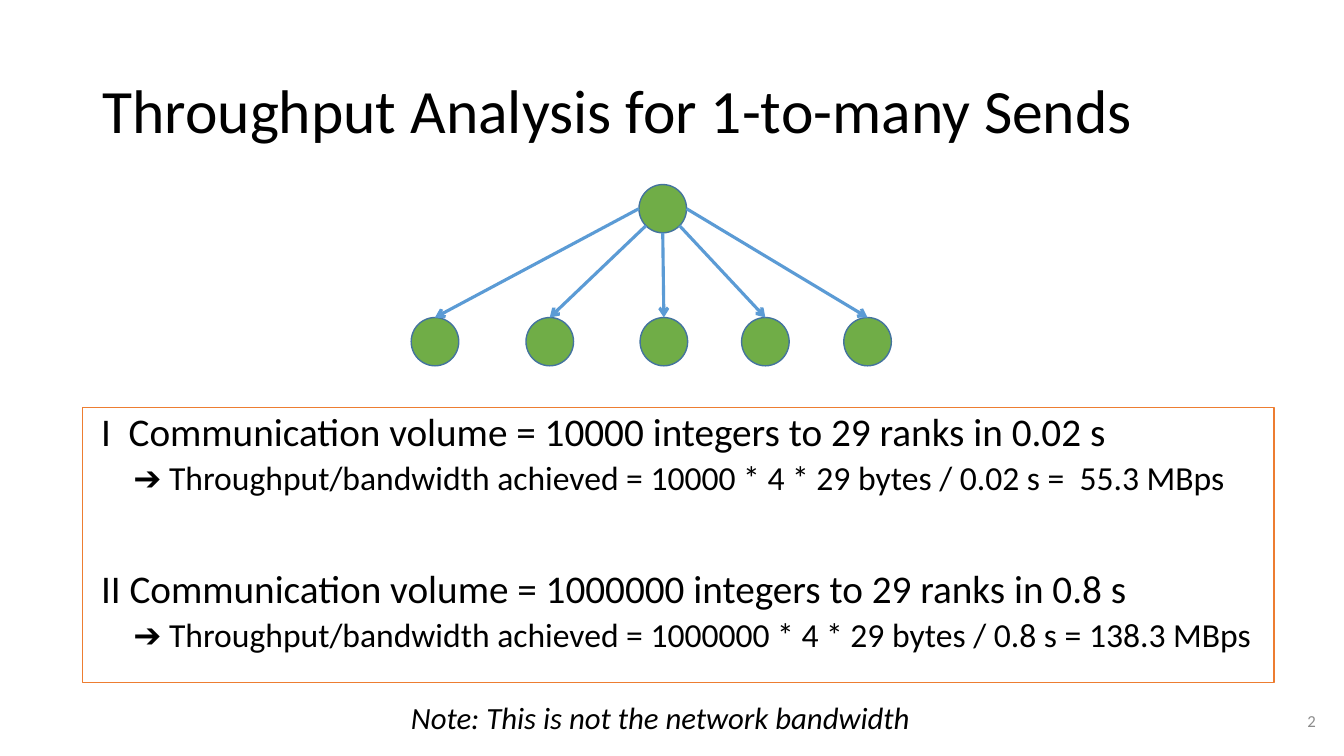
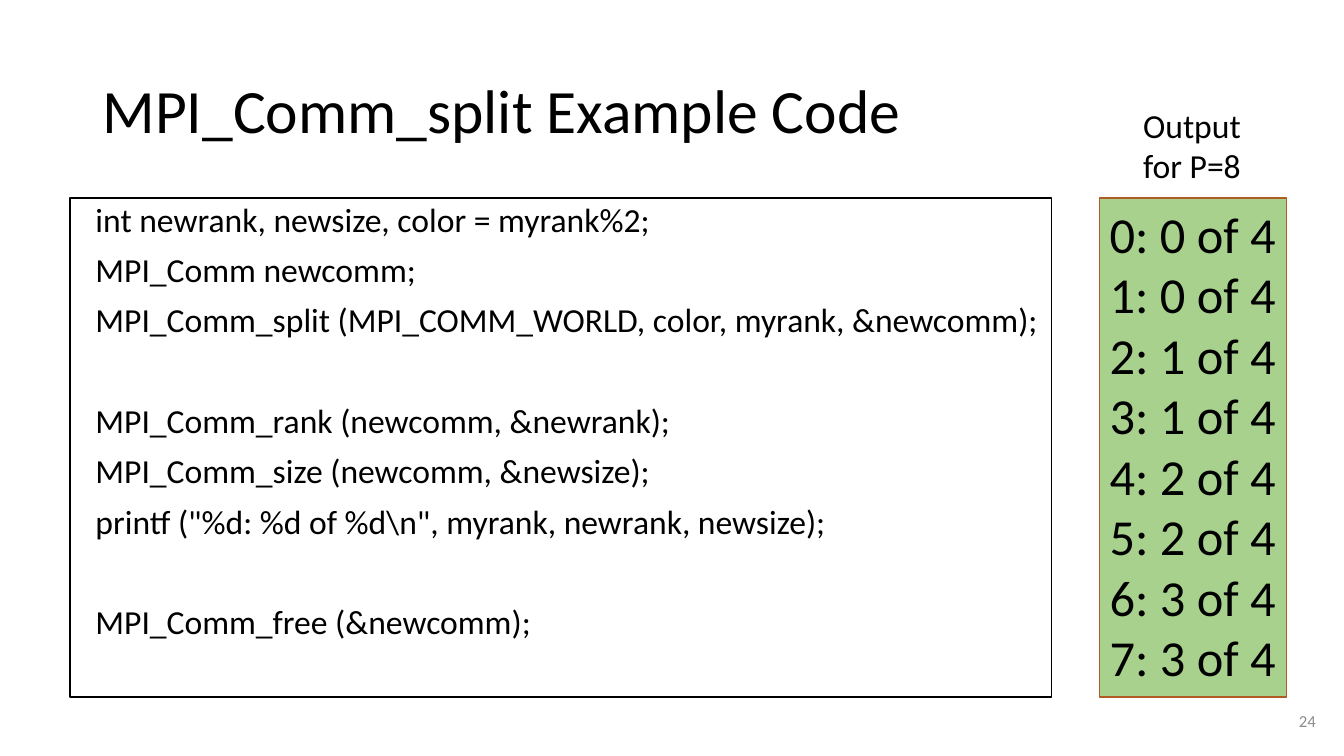
from math import cos, radians, sin

from lxml import etree
from pptx import Presentation
from pptx.dml.color import RGBColor
from pptx.enum.shapes import MSO_CONNECTOR, MSO_SHAPE
from pptx.enum.text import MSO_ANCHOR, MSO_AUTO_SIZE, PP_ALIGN
from pptx.oxml.ns import qn
from pptx.util import Pt

OVAL, RECT = MSO_SHAPE.OVAL, MSO_SHAPE.RECTANGLE
STRAIGHT = MSO_CONNECTOR.STRAIGHT
TOP, MIDDLE = MSO_ANCHOR.TOP, MSO_ANCHOR.MIDDLE
LEFT, RIGHT = PP_ALIGN.LEFT, PP_ALIGN.RIGHT

FONT = "Calibri"
BLACK, WHITE, GREY = "000000", "FFFFFF", "8C8C8C"
GREEN, LIGHT_GREEN, BLUE, NODE_EDGE = "70AD47", "A9D18E", "5B9BD5", "43739E"
ORANGE, RUST = "ED7D31", "AF5C24"

SLIDE_SIZE = (960, 540)
TITLE_BOX = (66, 29, 828, 104)
NUMBER_BOX = (678, 500, 269, 29)


def rgb(color):
    return RGBColor.from_string(color)


def place(sp, box):
    sp.left, sp.top, sp.width, sp.height = (Pt(v) for v in box)


def paint(sp, fill, line):
    sp.fill.solid()
    sp.fill.fore_color.rgb = rgb(fill)
    sp.line.color.rgb = rgb(line)
    sp.line.width = Pt(1)


def setup_frame(sp, anchor=TOP):
    tf = sp.text_frame
    tf.word_wrap = True
    tf.auto_size = MSO_AUTO_SIZE.NONE
    tf.vertical_anchor = anchor
    return tf


def add_lines(tf, lines, size, color=BLACK, align=LEFT, italic=False):
    """Write one paragraph per line and return the paragraphs."""
    for i, line in enumerate(lines):
        p = tf.paragraphs[0] if i == 0 else tf.add_paragraph()
        p.alignment = align
        r = p.add_run()
        r.text = line
        r.font.name, r.font.size = FONT, Pt(size)
        r.font.italic = italic
        r.font.color.rgb = rgb(color)
    return tf.paragraphs


def add_label(s, box, lines, size, anchor=TOP, **style):
    sp = s.shapes.add_textbox(*(Pt(v) for v in box))
    add_lines(setup_frame(sp, anchor), lines, size, **style)


def style_item(p, indent, before):
    """Body line without a bullet."""
    p.line_spacing = 0.9
    p.space_before = Pt(before)
    pPr = p._p.get_or_add_pPr()
    pPr.set("marL", str(Pt(indent)))
    pPr.set("indent", "0")
    etree.SubElement(pPr, qn("a:buNone"))


def add_base_slide(prs, title, number):
    s = prs.slides.add_slide(prs.slide_layouts[1])
    place(s.shapes.title, TITLE_BOX)
    tf = setup_frame(s.shapes.title, MIDDLE)
    add_lines(tf, [title], 44)[0].line_spacing = 0.9
    add_label(s, NUMBER_BOX, [str(number)], 12, MIDDLE, color=GREY, align=RIGHT)
    return s


def add_body(s, box, line_color):
    body = s.placeholders[1]
    place(body, box)
    paint(body, WHITE, line_color)
    return setup_frame(body)


def add_node(s, x, y, w, h):
    sp = s.shapes.add_shape(OVAL, Pt(x), Pt(y), Pt(w), Pt(h))
    sp.shadow.inherit = False
    paint(sp, GREEN, NODE_EDGE)


def add_arrow(s, x1, y1, x2, y2):
    cn = s.shapes.add_connector(STRAIGHT, Pt(x1), Pt(y1), Pt(x2), Pt(y2))
    cn.line.color.rgb = rgb(BLUE)
    cn.line.width = Pt(2.25)
    etree.SubElement(cn.line._ln, qn("a:tailEnd"), type="arrow")
    etree.SubElement(cn._element.spPr, qn("a:effectLst"))


def add_send_tree(s, box):
    """One sender on top, five receivers below."""
    x, y, w, h = box
    node_w, node_h = 34, 34.5
    root_x, leaf_y = x + 162.7, y + h - node_h
    add_node(s, root_x, y, node_w, node_h)
    leaf_offsets = (0, 82, 163.5, 236, w - node_w)
    for offset, angle in zip(leaf_offsets, (180, 135, 90, 45, 0)):
        add_node(s, x + offset, leaf_y, node_w, node_h)
        a = radians(angle)
        add_arrow(s, root_x + node_w / 2 * (1 + cos(a)),
                  y + node_h / 2 * (1 + sin(a)),
                  x + offset + node_w / 2, leaf_y)


def add_throughput_body(s, box, cases):
    tf = add_body(s, box, ORANGE)
    add_lines(tf, [line for case in cases for line in case], 28)
    for i, p in enumerate(tf.paragraphs):
        if i % 2:
            p.level = 1
            p.runs[0].font.size = Pt(24)
            style_item(p, 29, 5)
        else:
            style_item(p, 6, 51 if i else 10)


def add_code_body(s, box, blocks):
    tf = add_body(s, box, BLACK)
    add_lines(tf, [line for block in blocks for line in block], 24)
    starts = {block[0] for block in blocks[1:]}
    for p in tf.paragraphs:
        style_item(p, 11, 46 if p.text in starts else 10)


def add_output(s, box, ranks):
    x, y, w, h = box
    add_label(s, (x + 24, y - 70, 100, 66), ["Output", f"for P={ranks}"], 24)
    sp = s.shapes.add_shape(RECT, Pt(x), Pt(y), Pt(w), Pt(h))
    sp.shadow.inherit = False
    paint(sp, LIGHT_GREEN, RUST)
    tf = setup_frame(sp)
    tf.margin_right = 0
    lines = [f"{rank}: {rank // 2} of {ranks // 2}" for rank in range(ranks)]
    add_lines(tf, lines, 36)


def build_throughput_slide(prs):
    s = add_base_slide(prs, "Throughput Analysis for 1-to-many Sends", 2)
    add_throughput_body(s, (59, 291, 851, 196.5), [
        ("I  Communication volume = 10000 integers to 29 ranks in 0.02 s",
         "➔ Throughput/bandwidth achieved = 10000 * 4 * 29 bytes / 0.02 s =  55.3 MBps"),
        ("II Communication volume = 1000000 integers to 29 ranks in 0.8 s",
         "➔ Throughput/bandwidth achieved = 1000000 * 4 * 29 bytes / 0.8 s = 138.3 MBps"),
    ])
    add_send_tree(s, (293.7, 131.8, 343, 129.5))
    add_label(s, (286.5, 495.5, 380, 34),
              ["Note: This is not the network bandwidth"], 22, italic=True)


def build_code_slide(prs):
    s = add_base_slide(prs, "MPI_Comm_split Example Code", 24)
    top, height = 141.5, 356.5
    add_code_body(s, (50, top, 701, height), [
        ("int newrank, newsize, color = myrank%2;",
         "MPI_Comm newcomm;",
         "MPI_Comm_split (MPI_COMM_WORLD, color, myrank, &newcomm);"),
        ("MPI_Comm_rank (newcomm, &newrank);",
         "MPI_Comm_size (newcomm, &newsize);",
         'printf ("%d: %d of %d\\n", myrank, newrank, newsize);'),
        ("MPI_Comm_free (&newcomm);",),
    ])
    add_output(s, (785.5, top, 133.5, height), 8)


def main():
    prs = Presentation()
    prs.slide_width, prs.slide_height = (Pt(v) for v in SLIDE_SIZE)
    build_throughput_slide(prs)
    build_code_slide(prs)
    prs.save("out.pptx")


if __name__ == "__main__":
    main()
